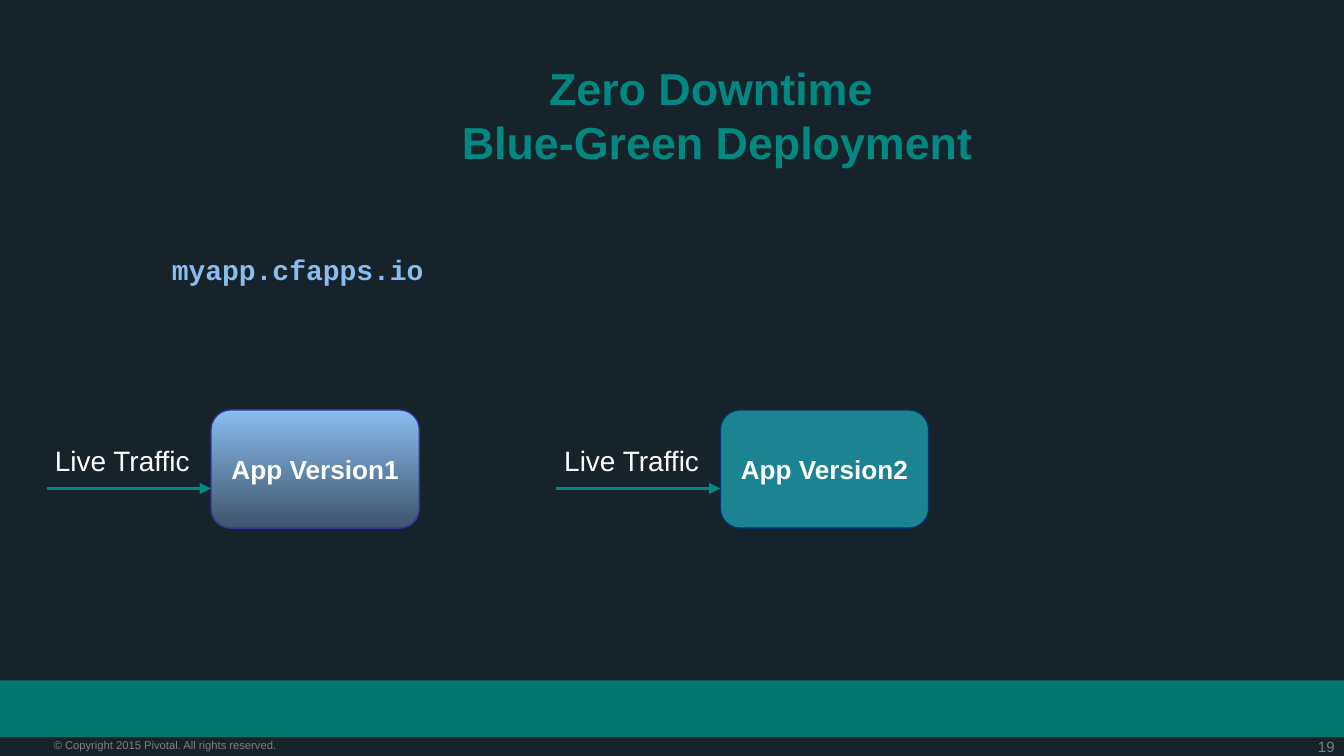
from dataclasses import dataclass
from lxml.etree import SubElement
from pptx import Presentation
from pptx.dml.color import RGBColor as RGB
from pptx.enum.shapes import MSO_CONNECTOR as LINK, MSO_SHAPE as SHAPE
from pptx.enum.text import MSO_ANCHOR as ANCHOR, PP_ALIGN as ALIGN
from pptx.oxml.ns import qn
from pptx.util import Inches, Pt


@dataclass(frozen=True)
class Theme:
    back: str = "17232A"
    band: str = "00786E"
    teal: str = "008881"
    sky: str = "89BDF0"
    slate: str = "3D546C"
    sea: str = "1C8393"
    navy: str = "003366"
    violet: str = "333399"
    white: str = "FFFFFF"
    gray: str = "7F7F7F"
    sans: str = "Arial"
    mono: str = "Courier New"
    head: int = 24
    body: int = 15
    node: int = 14
    page: int = 8
    note: int = 6


THEME = Theme()
WIDE = 10
HIGH = WIDE * 9 / 16
LEFT, STEP = 0.31, 3.79
REACH = 1.26
ROW = 3.05


def color(code):
    return RGB.from_string(code)


def area(*sides):
    return [Inches(side) for side in sides]


def write(shape, text, size, tint, font=THEME.sans, bold=False,
          align=ALIGN.LEFT, anchor=ANCHOR.TOP, wrap=True, pad=(0.1, 0.05)):
    frame = shape.text_frame
    frame.text = text
    frame.word_wrap = wrap
    frame.vertical_anchor = anchor
    frame.margin_left = frame.margin_right = Inches(pad[0])
    frame.margin_top = frame.margin_bottom = Inches(pad[1])
    for para in frame.paragraphs:
        para.alignment = align
        para.font.name = font
        para.font.size = Pt(size)
        para.font.bold = bold
        para.font.color.rgb = color(tint)


def label(slide, box, text, size, tint, **style):
    write(slide.shapes.add_textbox(*area(*box)), text, size, tint, **style)


def title(slide, box, text):
    shape = slide.shapes.title
    shape.left, shape.top, shape.width, shape.height = area(*box)
    write(shape, text, THEME.head, THEME.teal, bold=True,
          align=ALIGN.CENTER, anchor=ANCHOR.MIDDLE)


def block(slide, kind, box, fills, edge=None):
    shape = slide.shapes.add_shape(kind, *area(*box))
    shape.shadow.inherit = False
    if len(fills) > 1:
        shape.fill.gradient()
        shape.fill.gradient_angle = 270
        for stop, tint in zip(shape.fill.gradient_stops, fills):
            stop.color.rgb = color(tint)
    else:
        shape.fill.solid()
        shape.fill.fore_color.rgb = color(fills[0])
    if edge:
        shape.line.color.rgb = color(edge)
        shape.line.width = Pt(0.75)
    else:
        shape.line.fill.background()
    return shape


def arrow(slide, start, end, y):
    link = slide.shapes.add_connector(LINK.STRAIGHT, *area(start, y, end, y))
    link.line.color.rgb = color(THEME.teal)
    link.line.width = Pt(2)
    props = link._element.spPr
    SubElement(props.find(qn("a:ln")), qn("a:tailEnd"), type="triangle")
    SubElement(props, qn("a:effectLst"))


def lane(slide, col, text, fills, edge):
    x = LEFT + col * STEP
    node = block(slide, SHAPE.ROUNDED_RECTANGLE,
                 (x + REACH, ROW, 1.55, 0.88), fills, edge)
    write(node, text, THEME.node, THEME.white, bold=True,
          align=ALIGN.CENTER, anchor=ANCHOR.MIDDLE, wrap=False)
    label(slide, (x, ROW + 0.2, REACH, 0.35), "Live Traffic",
          THEME.body, THEME.white)
    arrow(slide, x + 0.04, x + REACH, ROW + 0.585)


def footer(slide):
    block(slide, SHAPE.RECTANGLE, (0, 0.9 * HIGH, WIDE, 0.42), [THEME.band])
    label(slide, (9.35, 5.49, 0.58, 0.14), "19", THEME.page, THEME.gray,
          align=ALIGN.RIGHT, pad=(0, 0))
    label(slide, (0.4, 5.49, 2.49, 0.1),
          "© Copyright 2015 Pivotal. All rights reserved.",
          THEME.note, THEME.gray, pad=(0, 0))


def main():
    deck = Presentation()
    deck.slide_width, deck.slide_height = area(WIDE, HIGH)
    slide = deck.slides.add_slide(deck.slide_layouts[5])
    slide.background.fill.solid()
    slide.background.fill.fore_color.rgb = color(THEME.back)
    footer(slide)
    title(slide, (3.02, 0.4, 4.63, 0.9),
          "Zero Downtime \nBlue-Green Deployment")
    label(slide, (1.18, 1.83, 2.11, 0.35), "myapp.cfapps.io",
          THEME.body, THEME.sky, font=THEME.mono, bold=True)
    lane(slide, 0, "App Version1", [THEME.sky, THEME.slate], THEME.violet)
    lane(slide, 1, "App Version2", [THEME.sea], THEME.navy)
    deck.save("out.pptx")


if __name__ == "__main__":
    main()
